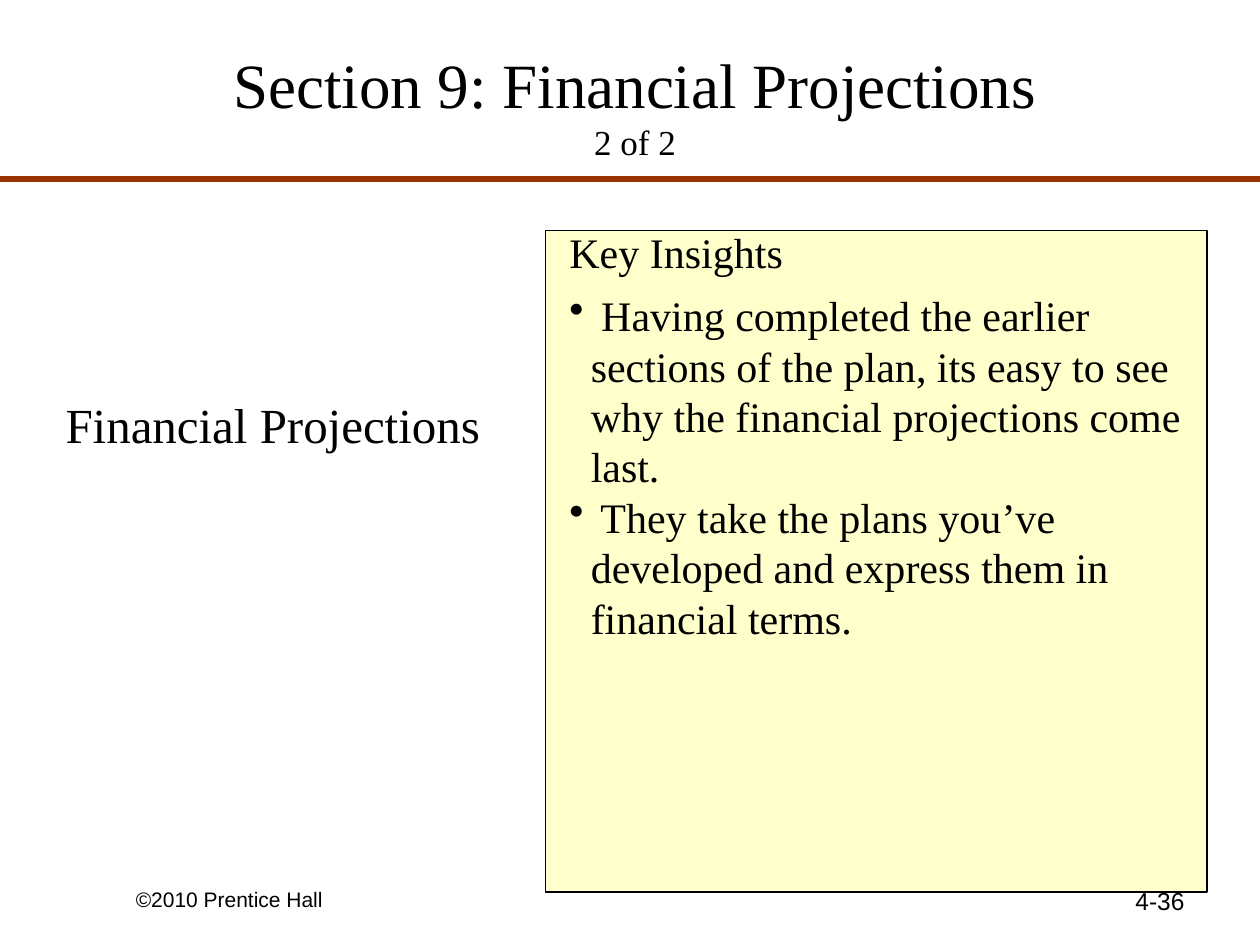
import pptx
import pptx.util
import pptx.dml.color
import pptx.enum.shapes
import pptx.enum.text
from lxml import etree

Inches, Pt = pptx.util.Inches, pptx.util.Pt
RGBColor = pptx.dml.color.RGBColor
PP_ALIGN = pptx.enum.text.PP_ALIGN

BLACK = RGBColor(0x00, 0x00, 0x00)
RUST = RGBColor(0x99, 0x33, 0x00)
CREAM = RGBColor(0xFF, 0xFF, 0xCC)
SERIF, SANS = "Times New Roman", "Arial"


def set_font(font, name, size):
    for key, value in {"name": name, "size": Pt(size)}.items():
        setattr(font, key, value)
    font.color.rgb = BLACK


def add_text(box, paragraphs, name, size, align=PP_ALIGN.LEFT, spacing=None, bullets=False):
    """Add a text box at box (left, top, width, height in inches)."""
    tf = s.shapes.add_textbox(*map(Inches, box)).text_frame
    tf.word_wrap = True
    for i, text in enumerate(paragraphs):
        p = tf.paragraphs[0] if i == 0 else tf.add_paragraph()
        p.alignment = align
        if spacing:
            p.line_spacing = Pt(spacing)
        if bullets:
            pPr = p._p.get_or_add_pPr()
            pPr.set("marL", str(Inches(0.17)))
            pPr.set("indent", str(-Inches(0.17)))
            bullet = etree.SubElement(pPr, pptx.oxml.ns.qn("a:buChar"))
            bullet.set("char", "•")
        r = p.add_run()
        r.text = text
        set_font(r.font, name, size)


prs = pptx.Presentation()
prs.slide_width, prs.slide_height = Inches(10), Inches(7.5)
s = prs.slides.add_slide(prs.slide_layouts[5])

# Title
title = s.shapes.title
title.left, title.top = Inches(0.33), Inches(0.17)
title.width, title.height = Inches(9.42), Inches(1.25)
tf = title.text_frame
tf.vertical_anchor = pptx.enum.text.MSO_ANCHOR.MIDDLE
tf.margin_top, tf.margin_bottom = Inches(0.1), Inches(0.04)
p = tf.paragraphs[0]
p.alignment = PP_ALIGN.CENTER
r = p.add_run()
r.text = "Section 9: Financial Projections"
set_font(r.font, SERIF, 36)
p.add_line_break()
r = p.add_run()
r.text = "2 of 2"
set_font(r.font, SERIF, 20)

# Rule under the title
rule = s.shapes.add_connector(
    pptx.enum.shapes.MSO_CONNECTOR.STRAIGHT, Inches(0), Inches(1.42), Inches(10), Inches(1.42))
rule.line.color.rgb = RUST
rule.line.width = Pt(3)
etree.SubElement(rule._element.spPr, pptx.oxml.ns.qn("a:effectLst"))

# Footer
add_text((0.98, 6.99, 2.33, 0.27), ["©2010 Prentice Hall"], SANS, 12)
add_text((7.17, 6.98, 2.33, 0.52), ["4-36"], SANS, 14, PP_ALIGN.RIGHT)

# Topic and key insights
add_text((0, 3.08, 4.33, 0.57), ["Financial Projections"], SERIF, 28, PP_ALIGN.CENTER, 33.6)

panel = s.shapes.add_shape(
    pptx.enum.shapes.MSO_SHAPE.RECTANGLE, Inches(4.33), Inches(1.83), Inches(5.25), Inches(5.25))
panel.shadow.inherit = False
panel.fill.solid()
panel.fill.fore_color.rgb = CREAM
panel.line.color.rgb = BLACK
panel.line.width = Pt(0.75)

add_text((4.42, 1.75, 5.08, 0.5), ["Key Insights"], SERIF, 24, spacing=28.8)
insights = [
    " Having completed the earlier sections of the plan, its easy to see "
    "why the financial projections come last.",
    " They take the plans you’ve developed and express them in financial terms.",
]
add_text((4.42, 2.25, 5.12, 2.9), insights, SERIF, 24, spacing=28.8, bullets=True)

prs.save("out.pptx")
